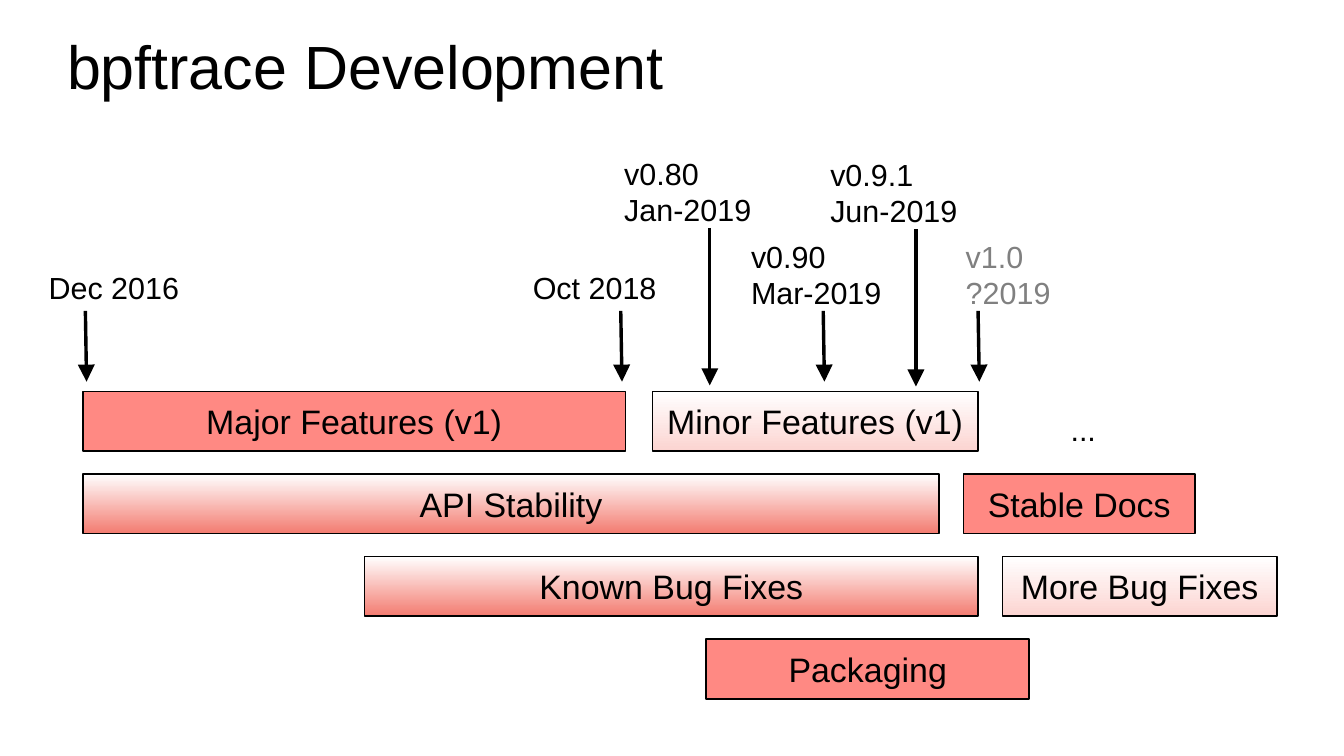
from dataclasses import dataclass

from lxml.etree import SubElement
from pptx import Presentation
from pptx.dml.color import RGBColor
from pptx.enum.shapes import MSO_CONNECTOR, MSO_SHAPE
from pptx.enum.text import MSO_ANCHOR, MSO_AUTO_SIZE, PP_ALIGN
from pptx.oxml.ns import qn
from pptx.slide import Slide
from pptx.text.text import TextFrame
from pptx.util import Inches, Pt

COLOURS = {
    "ink": "000000",
    "muted": "808080",
    "solid": "FF8983",
    "strong": "F37B70",
    "faint": "FCD4D1",
    "white": "FFFFFF",
}
FIRST_ROW = 3.21
ROW_STEP = 2.03 / 3
BAR_HEIGHT = 0.49


@dataclass
class Phase:
    """A bar of work on one row of the timeline."""
    name: str
    left: float
    row: int
    width: float
    colour: str = "solid"


@dataclass
class Label:
    """A date or version above the timeline."""
    text: str
    left: float
    top: float
    width: float
    height: float = 0.66
    colour: str = "ink"
    wrap: bool = False


@dataclass
class Marker:
    """An arrow pointing down at the timeline."""
    left: float
    top: float
    length: float = 0.58
    drift: float = 0.01


PHASES = [
    Phase("Major Features (v1)", 0.68, 0, 4.45),
    Phase("Minor Features (v1)", 5.35, 0, 2.67, "faint"),
    Phase("API Stability", 0.68, 1, 7.02, "strong"),
    Phase("Stable Docs", 7.9, 1, 1.9),
    Phase("Known Bug Fixes", 2.99, 2, 5.03, "strong"),
    Phase("More Bug Fixes", 8.22, 2, 2.25, "faint"),
    Phase("Packaging", 5.79, 3, 2.65),
]
LABELS = [
    Label("Dec 2016", 0.3, 2.16, 1.78, 0.4, wrap=True),
    Label("Oct 2018", 4.27, 2.16, 1.31, 0.4, wrap=True),
    Label("v0.80\nJan-2019", 5.02, 1.22, 1.24),
    Label("v0.90\nMar-2019", 6.06, 1.9, 1.3),
    Label("v0.9.1\nJun-2019", 6.71, 1.23, 1.37),
    Label("v1.0\n?2019", 7.82, 1.9, 0.95, colour="muted"),
    Label("...", 8.68, 3.32, 0.41, 0.38),
]
MARKERS = [
    Marker(0.7, 2.55),
    Marker(5.09, 2.55),
    Marker(5.82, 1.87, 1.29, 0),
    Marker(6.75, 2.55),
    Marker(7.51, 1.88, 1.29, 0),
    Marker(8.02, 2.55),
]


def rgb(colour: str) -> RGBColor:
    """Look up a named colour."""
    return RGBColor.from_string(COLOURS[colour])


def write(frame: TextFrame, text: str, *, size: float, colour: str = "ink",
          align: PP_ALIGN = PP_ALIGN.LEFT, anchor: MSO_ANCHOR = MSO_ANCHOR.TOP,
          wrap: bool = True, grow: bool = True,
          inset: tuple[float, float] = (0.1, 0.05)) -> None:
    """Fill a text frame with formatted paragraphs."""
    frame.text = text
    frame.word_wrap = wrap
    frame.auto_size = MSO_AUTO_SIZE.SHAPE_TO_FIT_TEXT if grow else MSO_AUTO_SIZE.NONE
    frame.vertical_anchor = anchor
    frame.margin_left = frame.margin_right = Inches(inset[0])
    frame.margin_top = frame.margin_bottom = Inches(inset[1])
    for paragraph in frame.paragraphs:
        paragraph.alignment = align
        paragraph.font.size = Pt(size)
        paragraph.font.name = "Arial"
        paragraph.font.color.rgb = rgb(colour)


def draw_title(slide: Slide, text: str) -> None:
    """Place the slide title."""
    title = slide.shapes.title
    title.left, title.top = Inches(0.55), Inches(0.14)
    title.width, title.height = Inches(9.92), Inches(0.78)
    write(title.text_frame, text, size=36, anchor=MSO_ANCHOR.MIDDLE, inset=(0, 0))


def draw_phase(slide: Slide, phase: Phase) -> None:
    """Draw one phase bar, plain or fading to white at the top."""
    bar = slide.shapes.add_shape(
        MSO_SHAPE.RECTANGLE, Inches(phase.left), Inches(FIRST_ROW + phase.row * ROW_STEP),
        Inches(phase.width), Inches(BAR_HEIGHT))
    bar.shadow.inherit = False
    if phase.colour == "solid":
        bar.fill.solid()
        bar.fill.fore_color.rgb = rgb(phase.colour)
    else:
        bar.fill.gradient()
        bar.fill.gradient_angle = 90
        for stop, colour in zip(bar.fill.gradient_stops, (phase.colour, "white")):
            stop.color.rgb = rgb(colour)
    bar.line.color.rgb = rgb("ink")
    bar.line.width = Pt(1)
    write(bar.text_frame, phase.name, size=20, align=PP_ALIGN.CENTER,
          anchor=MSO_ANCHOR.MIDDLE, grow=False)


def draw_label(slide: Slide, label: Label) -> None:
    """Draw one date or version label."""
    box = slide.shapes.add_textbox(
        Inches(label.left), Inches(label.top), Inches(label.width), Inches(label.height))
    write(box.text_frame, label.text, size=18, colour=label.colour, wrap=label.wrap)


def draw_marker(slide: Slide, marker: Marker) -> None:
    """Draw one arrow with a large triangular head."""
    arrow = slide.shapes.add_connector(
        MSO_CONNECTOR.STRAIGHT, Inches(marker.left), Inches(marker.top),
        Inches(marker.left + marker.drift), Inches(marker.top + marker.length))
    arrow.line.color.rgb = rgb("ink")
    arrow.line.width = Pt(2)
    properties = arrow.element.spPr
    SubElement(properties.find(qn("a:ln")), qn("a:tailEnd"),
               type="triangle", w="lg", len="lg")
    SubElement(properties, qn("a:effectLst"))


def main() -> None:
    """Build the development timeline and save it."""
    deck = Presentation()
    deck.slide_width, deck.slide_height = Inches(11.02), Inches(6.2)
    slide = deck.slides.add_slide(deck.slide_layouts[5])
    draw_title(slide, "bpftrace Development")
    for phase in PHASES:
        draw_phase(slide, phase)
    for marker in MARKERS:
        draw_marker(slide, marker)
    for label in LABELS:
        draw_label(slide, label)
    deck.save("out.pptx")


if __name__ == "__main__":
    main()
